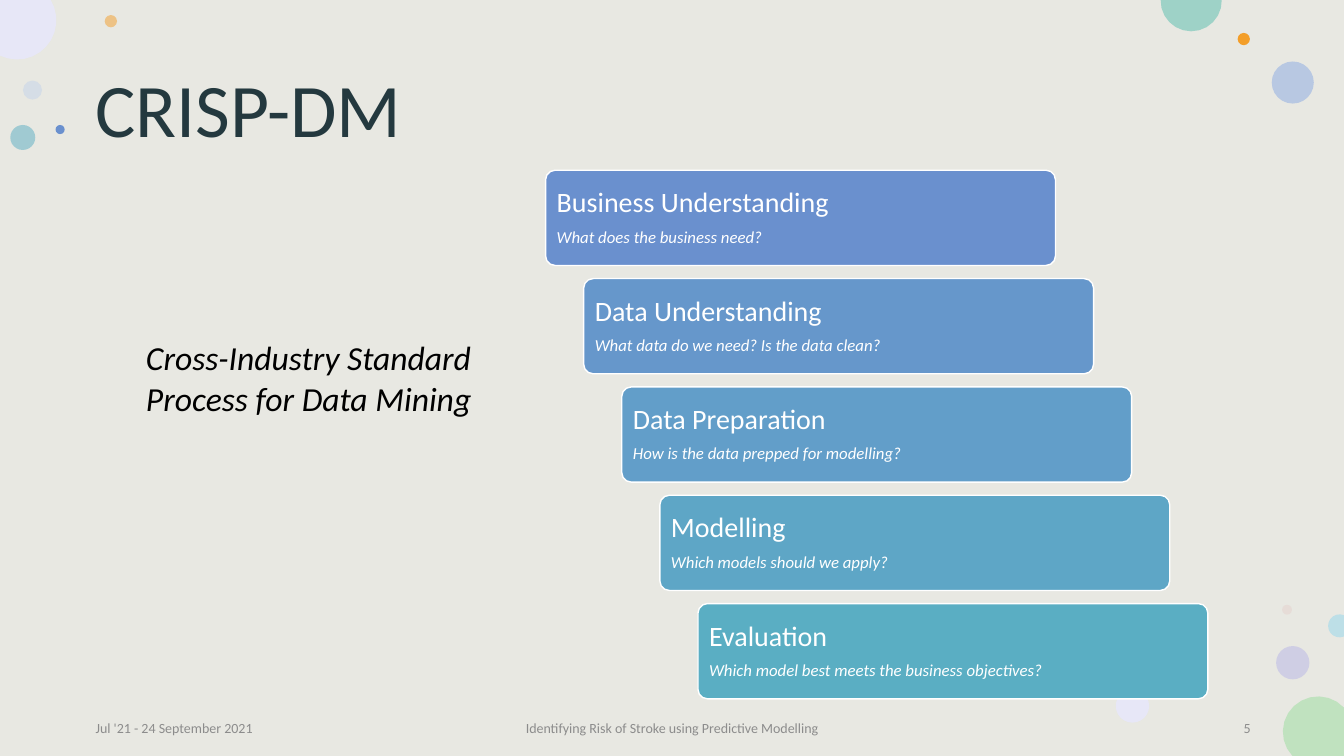
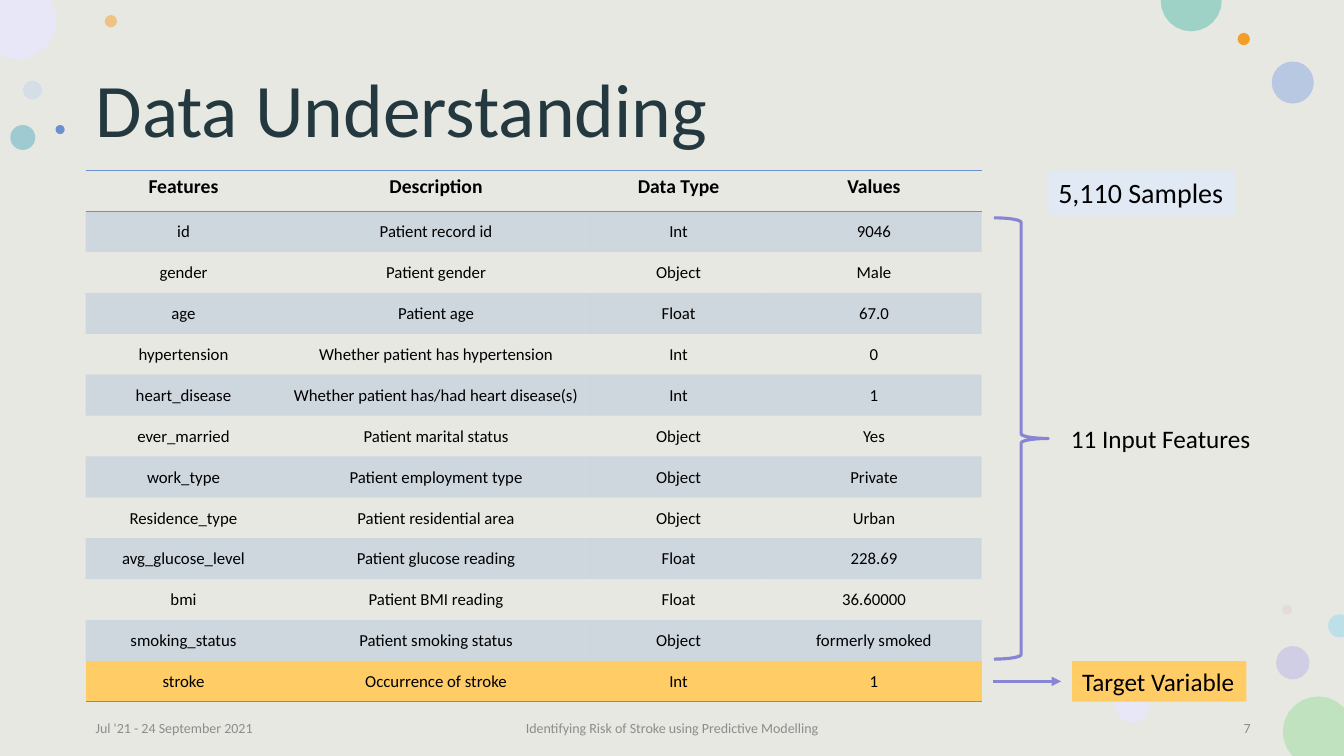
"""Build two slides on a stroke risk project: its process and its data."""
from math import cos, radians, sin

from pptx import Presentation
from pptx import util as u
from pptx.dml.color import RGBColor
from pptx.enum import shapes, text
from pptx.oxml import parse_xml
from pptx.oxml.ns import nsdecls, qn

Cm, Pt = u.Cm, u.Pt
KIND, ALIGN, ANCHOR = shapes.MSO_SHAPE, text.PP_ALIGN, text.MSO_ANCHOR
WIDE, HIGH = 33.87, 19.05
HUES = {
    "ground": "E8E8E2", "title": "24393F", "grey": "8C8C8C", "ink": "000000",
    "white": "FFFFFF", "blue": "6A90CE", "teal": "5AAEC3", "orange": "F39E29",
    "gold": "FFCC66", "ice": "E1E9F5", "violet": "8885D7", "lilac": "B8B6E7",
    "haze": "E7E7F7", "pale": "C3D3EB", "sky": "A6BCE2", "rose": "E3BEBE",
    "green": "C0E2BF", "mint": "9ED2C7", "aqua": "BDDFE7",
    "step2": "6697CB", "step3": "629EC9", "step4": "5EA6C6",
}
RGB = {name: RGBColor.from_string(code) for name, code in HUES.items()}


def paint(item, hue, alpha=100):
    item.fill.solid()
    item.fill.fore_color.rgb = RGB[hue]
    if alpha < 100:
        shade = next(item.fill._xPr.iter(qn("a:srgbClr")))
        shade.append(parse_xml(f'<a:alpha {nsdecls("a")} val="{alpha * 1000}"/>'))


def write(frame, lines, align=ALIGN.LEFT, anchor=ANCHOR.MIDDLE, wrap=True):
    frame.word_wrap = wrap
    frame.vertical_anchor = anchor
    for at, (words, size, hue, style) in enumerate(lines):
        para = frame.add_paragraph() if at else frame.paragraphs[0]
        para.alignment = align
        run = para.add_run()
        run.text = words
        run.font.name = "Calibri"
        run.font.size = Pt(size)
        run.font.color.rgb = RGB[hue]
        run.font.bold = style == "bold"
        run.font.italic = style == "italic"


deck = Presentation()
deck.slide_width, deck.slide_height = Cm(WIDE), Cm(HIGH)

dots = [
    (0.58, 2.03, 0.48, "pale", 50), (2.64, 0.38, 0.31, "orange", 50),
    (32.16, 16.28, 0.84, "lilac", 50), (0.26, 3.15, 0.63, "teal", 50),
    (32.05, 1.55, 1.06, "sky", 72), (31.19, 0.83, 0.31, "orange", 100),
    (32.31, 15.24, 0.25, "rose", 28), (28.12, 17.37, 0.84, "haze", 100),
    (1.4, 3.15, 0.23, "blue", 100),
]
cuts = [
    (33.22, 18.44, 0.89, 136.7, 316.9, [(WIDE, HIGH)], "green"),
    (0.43, 0.51, 0.99, -31, 115.7, [(0, 0)], "haze"),
    (30.02, 0.02, 0.77, -1.5, 181.5, [], "mint"),
    (33.76, 15.77, 0.29, 67.7, 292.3, [], "aqua"),
]

pages = []
for title, number in [("CRISP-DM", "5"), ("Data Understanding", "7")]:
    page = deck.slides.add_slide(deck.slide_layouts[6])
    pages.append(page)
    ground = page.shapes.add_shape(KIND.RECTANGLE, 0, 0, Cm(WIDE), Cm(HIGH))
    fills = [(ground, "ground", 100)]
    for x, y, size, hue, alpha in dots:
        dot = page.shapes.add_shape(KIND.OVAL, Cm(x), Cm(y), Cm(size), Cm(size))
        fills.append((dot, hue, alpha))
    for x, y, reach, start, end, corner, hue in cuts:
        turns = [radians(start + (end - start) * at / 12) for at in range(13)]
        rim = [(x + reach * cos(turn), y + reach * sin(turn)) for turn in turns]
        rim = [(Cm(left), Cm(top)) for left, top in rim + corner]
        edge = page.shapes.build_freeform(*rim[0])
        edge.add_line_segments(rim[1:], close=True)
        fills.append((edge.convert_to_shape(), hue, 100))
    for shape, hue, alpha in fills:
        shape.shadow.inherit = False
        shape.line.fill.background()
        paint(shape, hue, alpha)

    for x, y, wide, high, words, size, hue, align in [
        (2.16, 1.02, 29.62, 3.68, title, 54, "title", ALIGN.LEFT),
        (2.16, 18.01, 7.62, 0.66, "Jul '21 - 24 September 2021", 10, "grey", ALIGN.LEFT),
        (11.22, 18.01, 11.43, 0.66, "Identifying Risk of Stroke using Predictive Modelling",
         10, "grey", ALIGN.CENTER),
        (24.15, 18.01, 7.62, 0.66, number, 10, "grey", ALIGN.RIGHT),
    ]:
        box = page.shapes.add_textbox(Cm(x), Cm(y), Cm(wide), Cm(high))
        write(box.text_frame, [(words, size, hue, "")], align)
        if size == 54:
            box.text_frame.paragraphs[0].line_spacing = 0.9

first, second = pages

box = first.shapes.add_textbox(Cm(3.43), Cm(8.37), Cm(11.05), Cm(2.31))
write(box.text_frame,
      [("Cross-Industry Standard Process for Data Mining", 24, "ink", "italic")],
      anchor=ANCHOR.TOP)

steps = [
    ("Business Understanding", "What does the business need?", "blue"),
    ("Data Understanding", "What data do we need? Is the data clean?", "step2"),
    ("Data Preparation", "How is the data prepped for modelling?", "step3"),
    ("Modelling", "Which models should we apply?", "step4"),
    ("Evaluation", "Which model best meets the business objectives?", "teal"),
]
for at, (head, ask, hue) in enumerate(steps):
    card = first.shapes.add_shape(KIND.ROUNDED_RECTANGLE, Cm(13.75 + 0.96 * at),
                                  Cm(4.29 + 2.73 * at), Cm(12.85), Cm(2.4))
    card.adjustments[0] = 0.1
    card.shadow.inherit = False
    paint(card, hue)
    card.line.color.rgb = RGB["white"]
    card.line.width = Pt(1)
    frame = card.text_frame
    frame.margin_left = Cm(0.21)
    write(frame, [(head, 20, "white", ""), (ask, 12, "white", "italic")])
    for para in frame.paragraphs:
        para.line_spacing = 0.9
    frame.paragraphs[0].space_after = Pt(7)

rows = [
    ("Features", "Description", "Data Type", "Values"),
    ("id", "Patient record id", "Int", "9046"),
    ("gender", "Patient gender", "Object", "Male"),
    ("age", "Patient age", "Float", "67.0"),
    ("hypertension", "Whether patient has hypertension", "Int", "0"),
    ("heart_disease", "Whether patient has/had heart disease(s)", "Int", "1"),
    ("ever_married", "Patient marital status", "Object", "Yes"),
    ("work_type", "Patient employment type", "Object", "Private"),
    ("Residence_type", "Patient residential area", "Object", "Urban"),
    ("avg_glucose_level", "Patient glucose reading", "Float", "228.69"),
    ("bmi", "Patient BMI reading", "Float", "36.60000"),
    ("smoking_status", "Patient smoking status", "Object", "formerly smoked"),
    ("stroke", "Occurrence of stroke", "Int", "1"),
]
last = len(rows) - 1
spans = [4.93, 7.8, 4.42, 5.43]
grid = second.shapes.add_table(len(rows), len(spans), Cm(2.16), Cm(4.29),
                               Cm(sum(spans)), Cm(1.03 * len(rows))).table
grid.first_row = grid.horz_banding = False
plain = next(grid._tbl.iter(qn("a:tableStyleId")))
plain.text = "{2D5ABB26-0587-4C30-8999-92F81FD0307C}"
for column, span in zip(grid.columns, spans):
    column.width = Cm(span)
for at, row in enumerate(rows):
    grid.rows[at].height = Cm(1.03)
    for cell, words in zip(grid.rows[at].cells, row):
        if at == last:
            paint(cell, "gold")
        elif at % 2:
            paint(cell, "blue", 20)
        else:
            cell.fill.background()
        if at:
            cell.margin_left = cell.margin_right = cell.margin_top = Cm(0.03)
            cell.margin_bottom = 0
            style = (12, "ink", "")
        else:
            style = (14, "ink", "bold")
        write(cell.text_frame, [(words, *style)], ALIGN.CENTER)
        cell.vertical_anchor = ANCHOR.MIDDLE if at else ANCHOR.TOP
        for side in {0: ("lnB", "lnT"), last: ("lnB",)}.get(at, ()):
            cell._tc.tcPr.insert(0, parse_xml(
                f'<a:{side} {nsdecls("a")} w="12700"><a:solidFill>'
                f'<a:srgbClr val="{HUES["blue"]}"/></a:solidFill></a:{side}>'))

brace = second.shapes.add_shape(KIND.RIGHT_BRACE, Cm(25.05), Cm(5.49), Cm(1.37), Cm(11.12))
brace.shadow.inherit = False
brace.fill.background()
arrow = second.shapes.add_connector(shapes.MSO_CONNECTOR.STRAIGHT,
                                    Cm(25.02), Cm(17.17), Cm(26.74), Cm(17.17))
for mark in (brace, arrow):
    mark.line.color.rgb = RGB["violet"]
    mark.line.width = Pt(2.25)
frame = arrow._element.spPr
frame.find(qn("a:ln")).append(parse_xml(f'<a:tailEnd {nsdecls("a")} type="triangle"/>'))
frame.append(parse_xml(f'<a:effectLst {nsdecls("a")}/>'))

for x, y, wide, high, words, size, hue in [
    (26.74, 10.54, 5.08, 1.02, "11 Input Features", 18, None),
    (27.02, 16.66, 4.39, 1.02, "Target Variable", 18, "gold"),
    (26.42, 4.3, 4.72, 1.11, "5,110 Samples", 20, "ice"),
]:
    label = second.shapes.add_textbox(Cm(x), Cm(y), Cm(wide), Cm(high))
    if hue:
        paint(label, hue)
    write(label.text_frame, [(words, size, "ink", "")], anchor=ANCHOR.TOP, wrap=False)

deck.save("out.pptx")
